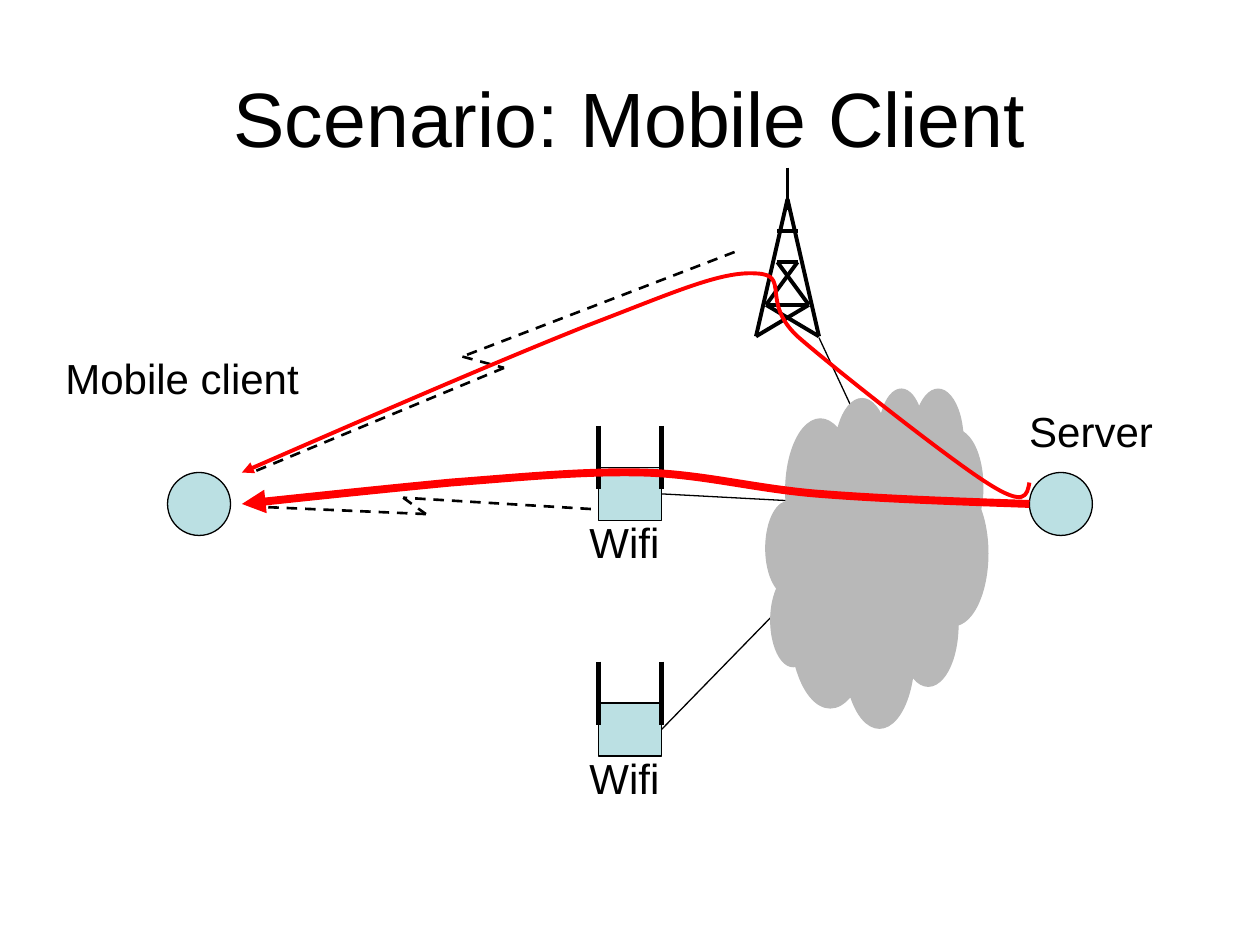
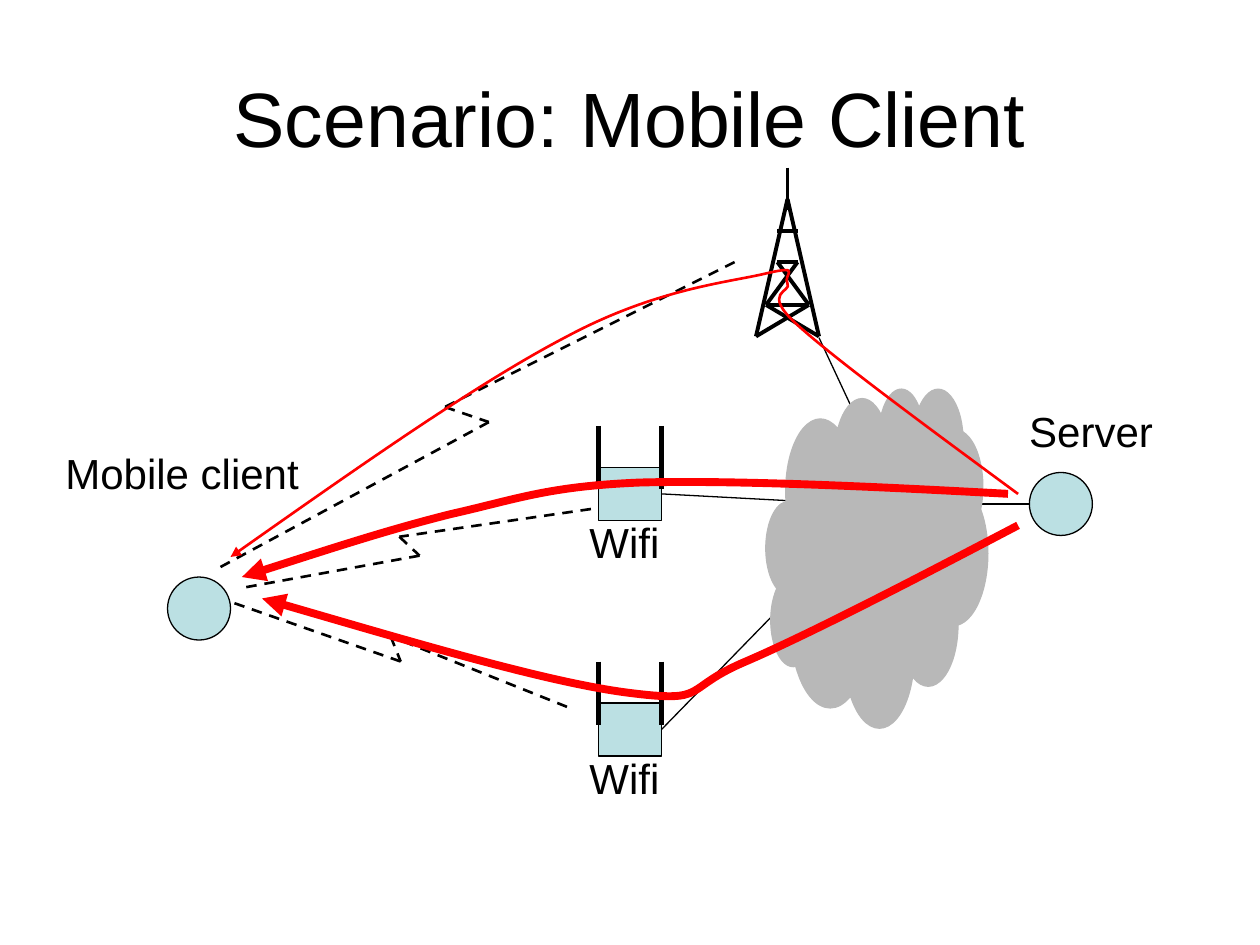
from lxml import etree
from pptx import Presentation
from pptx.dml.color import RGBColor
from pptx.enum.dml import MSO_LINE
from pptx.enum.shapes import MSO_CONNECTOR, MSO_SHAPE
from pptx.enum.text import MSO_ANCHOR, MSO_AUTO_SIZE, PP_ALIGN
from pptx.oxml.ns import qn
from pptx.util import Cm, Pt

CM_PER_INCH = 2.54
BLANK_LAYOUT = 6
FONT = "Arial"
BLACK, NODE_FILL, CLOUD_GREY, ROUTE_RED = "000000", "BBE0E3", "B8B8B8", "FF0000"
OVAL, RECTANGLE, CLOUD = MSO_SHAPE.OVAL, MSO_SHAPE.RECTANGLE, MSO_SHAPE.CLOUD_CALLOUT
STRAIGHT, DASH = MSO_CONNECTOR.STRAIGHT, MSO_LINE.DASH
LEFT, CENTER = PP_ALIGN.LEFT, PP_ALIGN.CENTER
TOP, MIDDLE = MSO_ANCHOR.TOP, MSO_ANCHOR.MIDDLE
FIT_SHAPE, NO_FIT = MSO_AUTO_SIZE.SHAPE_TO_FIT_TEXT, MSO_AUTO_SIZE.NONE
RIGHT_SIDE = 3
CURVE_STEPS = 20

NODE_SIZE = 0.5
WIFI_LEFT, WIFI_WIDTH, WIFI_HEIGHT = 4.75, 0.5, 0.42
TOWER_AXIS = 6.25
TOWER_BARS = [
    ((0, 1.33), (0, 1.67)),
    ((-0.08, 1.83), (0.08, 1.83)),
    ((-0.08, 2.08), (0.08, 2.08)),
    ((-0.17, 2.42), (0.17, 2.42)),
]
TOWER_BRACES = [
    ((0, 1.58), (0.25, 2.67)),
    ((-0.08, 2.08), (0.17, 2.42)),
    ((-0.17, 2.42), (0.25, 2.67)),
]

SCENARIOS = [
    {
        "client_top": 3.75,
        "label_top": 2.75,
        "radio_links": [
            [(5.83, 2), (3.67, 2.83), (4, 2.92), (2, 3.75)],
            [(4.69, 4.04), (3.2, 3.95), (3.38, 4.08), (2, 4.02)],
        ],
        "routes": [
            (2.25, [(8.17, 3.83), (8.15, 3.93), (8.14, 4.03), (7.83, 3.83),
                    (7.53, 3.64), (6.64, 2.94), (6.33, 2.67),
                    (6.03, 2.39), (6.28, 2.18), (6, 2.17),
                    (5.72, 2.15), (5.35, 2.32), (4.67, 2.58),
                    (3.99, 2.85), (2.95, 3.3), (1.92, 3.75)]),
            (4.5, [(8.17, 4), (7.59, 3.98), (7.01, 3.96), (6.5, 3.92),
                   (5.99, 3.88), (5.57, 3.76), (5.08, 3.75),
                   (4.6, 3.74), (4.11, 3.79), (3.58, 3.83),
                   (3.06, 3.88), (2.49, 3.94), (1.92, 4)]),
        ],
    },
    {
        "client_top": 4.58,
        "label_top": 3.5,
        "radio_links": [
            [(5.83, 2.08), (3.53, 3.23), (3.88, 3.35), (1.75, 4.5)],
            [(4.69, 4.04), (3.17, 4.26), (3.33, 4.41), (1.9, 4.67)],
            [(4.5, 5.61), (3.1, 5.05), (3.18, 5.25), (1.84, 4.78)],
        ],
        "routes": [
            (1.5, [(8.08, 3.92), (7.36, 3.39), (6.64, 2.86), (6.33, 2.58),
                   (6.03, 2.31), (6.29, 2.32), (6.25, 2.25),
                   (6.21, 2.18), (6.38, 2.1), (6.08, 2.17),
                   (5.79, 2.24), (5.21, 2.29), (4.5, 2.67),
                   (3.79, 3.04), (2.81, 3.73), (1.83, 4.42)]),
            (4.5, [(8, 3.92), (6.91, 3.86), (5.82, 3.81), (5.08, 3.83),
                   (4.35, 3.86), (4.11, 3.96), (3.58, 4.08),
                   (3.06, 4.21), (2.49, 4.4), (1.92, 4.58)]),
            (4.5, [(8.08, 4.17), (7.26, 4.6), (6.43, 5.03), (5.92, 5.25),
                   (5.4, 5.47), (5.64, 5.58), (5, 5.5),
                   (4.36, 5.42), (3.22, 5.08), (2.08, 4.75)]),
        ],
    },
]


def color(hex_code):
    return RGBColor.from_string(hex_code)


def inches(*values):
    return [Cm(value * CM_PER_INCH) for value in values]


def curve_points(controls):
    points = [controls[0]]
    for first in range(0, len(controls) - 1, 3):
        segment = controls[first:first + 4]
        for step in range(1, CURVE_STEPS + 1):
            t = step / CURVE_STEPS
            weights = ((1 - t) ** 3, 3 * t * (1 - t) ** 2, 3 * t ** 2 * (1 - t), t ** 3)
            points.append(tuple(
                sum(weight * point[axis] for weight, point in zip(weights, segment))
                for axis in (0, 1)
            ))
    return points


def bend(curve, controls):
    geometry = next(curve._element.iter(qn("a:path")))
    for straight_part in list(geometry)[1:]:
        geometry.remove(straight_part)
    for first in range(1, len(controls), 3):
        arc = etree.SubElement(geometry, qn("a:cubicBezTo"))
        for point in controls[first:first + 3]:
            x, y = inches(*point)
            etree.SubElement(arc, qn("a:pt"), x=str(x - curve.left), y=str(y - curve.top))


class Diagram:
    def __init__(self, deck):
        self.deck = deck
        self.slide = None

    def new_slide(self):
        self.slide = self.deck.slides.add_slide(self.deck.slide_layouts[BLANK_LAYOUT])

    def outline(self, item, line_color, weight):
        item.line.color.rgb = color(line_color)
        item.line.width = Pt(weight)

    def text(self, words, left, top, width, height, size=24, title=False):
        box = self.slide.shapes.add_textbox(*inches(left, top, width, height))
        frame = box.text_frame
        frame.word_wrap = title
        frame.auto_size = NO_FIT if title else FIT_SHAPE
        frame.vertical_anchor = MIDDLE if title else TOP
        paragraph = frame.paragraphs[0]
        paragraph.alignment = CENTER if title else LEFT
        run = paragraph.add_run()
        run.text = words
        run.font.name = FONT
        run.font.size = Pt(size)
        run.font.color.rgb = color(BLACK)

    def shape(self, kind, left, top, width, height, fill=NODE_FILL, line=BLACK):
        item = self.slide.shapes.add_shape(kind, *inches(left, top, width, height))
        item.shadow.inherit = False
        item.fill.solid()
        item.fill.fore_color.rgb = color(fill)
        self.outline(item, line, 0.75)
        return item

    def line(self, start, end, weight=0.75, dashed=False):
        link = self.slide.shapes.add_connector(STRAIGHT, *inches(*start, *end))
        self.outline(link, BLACK, weight)
        if dashed:
            link.line.dash_style = DASH
        etree.SubElement(link._element.spPr, qn("a:effectLst"))
        return link

    def route(self, weight, controls):
        start, *rest = [inches(*point) for point in curve_points(controls)]
        builder = self.slide.shapes.build_freeform(*start)
        builder.add_line_segments(rest, close=False)
        curve = builder.convert_to_shape()
        bend(curve, controls)
        curve.shadow.inherit = False
        curve.fill.background()
        self.outline(curve, ROUTE_RED, weight)
        stroke = curve._element.spPr.find(qn("a:ln"))
        etree.SubElement(stroke, qn("a:tailEnd"), type="triangle")

    def node(self, left, top):
        self.shape(OVAL, left, top, NODE_SIZE, NODE_SIZE)

    def wifi(self, top):
        station = self.shape(RECTANGLE, WIFI_LEFT, top, WIFI_WIDTH, WIFI_HEIGHT)
        for antenna in (WIFI_LEFT, WIFI_LEFT + WIFI_WIDTH):
            self.line((antenna, top - 0.33), (antenna, top + 0.17), 3)
        self.text("Wifi", WIFI_LEFT - 0.17, top + 0.34, 0.77, 0.5)
        return station

    def tower(self):
        mirrored = [((-x1, y1), (-x2, y2)) for (x1, y1), (x2, y2) in TOWER_BRACES]
        for (x1, y1), (x2, y2) in TOWER_BARS + TOWER_BRACES + mirrored:
            self.line((TOWER_AXIS + x1, y1), (TOWER_AXIS + x2, y2), 2.25)

    def network(self):
        self.node(8.17, 3.75)
        self.text("Server", 8.07, 3.17, 1.18, 0.5)
        self.tower()
        self.node(6.75, 3.75)
        for top, hub_end in ((3.71, (6.75, 4)), (5.58, (6.82, 4.18))):
            station = self.wifi(top)
            uplink_end = (WIFI_LEFT + WIFI_WIDTH, top + WIFI_HEIGHT / 2)
            self.line(hub_end, uplink_end).end_connect(station, RIGHT_SIDE)
        self.line((7.25, 4), (8.17, 4))
        self.line((6.5, 2.68), (7, 3.75))
        cloud = self.shape(CLOUD, 6.08, 3.08, 1.76, 2.69, CLOUD_GREY, CLOUD_GREY)
        cloud.adjustments[0] = 0.27
        cloud.adjustments[1] = -0.18

    def radio_link(self, points):
        for start, end in zip(points, points[1:]):
            self.line(start, end, 1.5, dashed=True)

    def scenario(self, client_top, label_top, radio_links, routes):
        self.new_slide()
        self.text("Scenario: Mobile Client", 0.5, 0.3, 9, 1.25, 44, title=True)
        self.node(1.33, client_top)
        self.text("Mobile client", 0.42, label_top, 2.05, 0.5)
        self.network()
        for points in radio_links:
            self.radio_link(points)
        for weight, controls in routes:
            self.route(weight, controls)


def main():
    deck = Presentation()
    deck.slide_width, deck.slide_height = inches(10, 7.5)
    diagram = Diagram(deck)
    for scenario in SCENARIOS:
        diagram.scenario(**scenario)
    deck.save("out.pptx")


if __name__ == "__main__":
    main()
